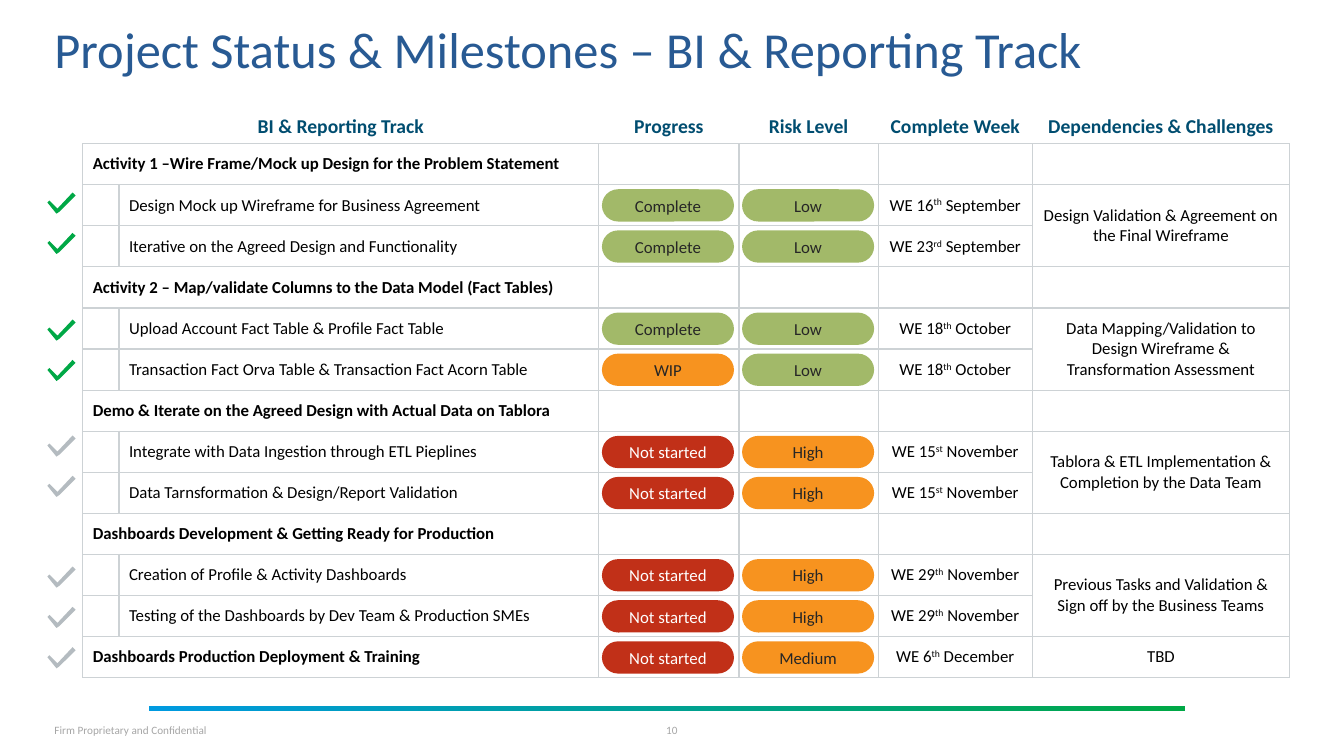
from dataclasses import dataclass

from lxml.etree import SubElement
from pptx import Presentation
from pptx.dml.color import RGBColor
from pptx.enum.shapes import MSO_SHAPE
from pptx.enum.text import MSO_ANCHOR, MSO_AUTO_SIZE, PP_ALIGN
from pptx.oxml.ns import qn
from pptx.util import Inches, Pt

TITLE = "Project Status & Milestones – BI & Reporting Track"
CONFIDENTIALITY = "Firm Proprietary and Confidential"
PAGE_NUMBER = "10"
HEADERS = ["BI & Reporting Track", None, "Progress", "Risk Level",
           "Complete Week", "Dependencies & Challenges"]

# Phase: heading, status of the heading row, top of its first check mark,
# whether its checks are done, dependency, tasks.
# Status: progress, risk, week as (text, raised suffix, text).
PHASES = [
    ("Activity 1 –Wire Frame/Mock up Design for the Problem Statement", None, 1.91, True,
     "Design Validation & Agreement on the Final Wireframe", [
         ("Design Mock up Wireframe for Business Agreement",
          ("Complete", "Low", ("WE 16", "th", " September"))),
         ("Iterative on the Agreed Design and Functionality",
          ("Complete", "Low", ("WE 23", "rd", " September")))]),
    ("Activity 2 – Map/validate Columns to the Data Model (Fact Tables)", None, 3.17, True,
     "Data Mapping/Validation to Design Wireframe & Transformation Assessment", [
         ("Upload Account Fact Table & Profile Fact Table",
          ("Complete", "Low", ("WE 18", "th", " October"))),
         ("Transaction Fact Orva Table & Transaction Fact Acorn Table",
          ("WIP", "Low", ("WE 18", "th", " October")))]),
    ("Demo & Iterate on the Agreed Design with Actual Data on Tablora", None, 4.32, False,
     "Tablora & ETL Implementation & Completion by the Data Team", [
         ("Integrate with Data Ingestion through ETL Pieplines",
          ("Not started", "High", ("WE 15", "st", " November"))),
         ("Data Tarnsformation & Design/Report Validation",
          ("Not started", "High", ("WE 15", "st", " November")))]),
    ("Dashboards Development & Getting Ready for Production", None, 5.62, False,
     "Previous Tasks and Validation & Sign off by the Business Teams", [
         ("Creation of Profile & Activity Dashboards",
          ("Not started", "High", ("WE 29", "th", " November"))),
         ("Testing of the Dashboards by Dev Team & Production SMEs",
          ("Not started", "High", ("WE 29", "th", " November")))]),
    ("Dashboards Production Deployment & Training",
     ("Not started", "Medium", ("WE 6", "th", " December")), 6.42, False, "TBD", []),
]


@dataclass(frozen=True)
class Theme:
    """Colours, font and type sizes of the slide."""
    font: str = "Calibri"
    title: str = "285A93"
    header: str = "004D70"
    body: str = "000000"
    dark: str = "262626"
    white: str = "FFFFFF"
    muted: str = "A6A6A6"
    border: str = "CDD2D5"
    done: str = "00A846"
    pending: str = "B4BBC0"
    bar_start: str = "009AE0"
    good: str = "A2B969"
    warning: str = "F7931F"
    alert: str = "C13018"
    title_size: int = 36
    header_size: int = 14
    body_size: int = 12
    footer_size: int = 8


THEME = Theme()
STATUS_COLORS = {"Complete": THEME.good, "Low": THEME.good, "WIP": THEME.warning,
                 "High": THEME.warning, "Medium": THEME.warning, "Not started": THEME.alert}

TABLE_LEFT, TABLE_TOP, TABLE_HEIGHT, HEADER_HEIGHT = 0.82, 0.97, 5.74, 0.44
COLUMNS = [0.36, 4.76, 1.39, 1.38, 1.53, 2.55]
PROGRESS, WEEK, DEPENDENCY = 2, 4, 5
ROW_COUNT = 1 + sum(1 + len(phase[-1]) for phase in PHASES)
ROW_HEIGHT = (TABLE_HEIGHT - HEADER_HEIGHT) / (ROW_COUNT - 1)
PILL_WIDTH, PILL_HEIGHT, PILL_INSET_X, PILL_INSET_Y = 1.31, 0.32, 0.03, 0.06
CHECK_LEFT, CHECK_PITCH = 0.47, 0.4
CHECK_OUTLINE = [(0.25, 0), (0.1, 0.16), (0.02, 0.08), (0, 0.1),
                 (0.09, 0.21), (0.12, 0.19), (0.28, 0.03)]


def write(frame, text, size=THEME.body_size, color=THEME.body, bold=False,
          align=PP_ALIGN.LEFT, spacing=None):
    """Write text, or a (text, raised suffix, text) tuple, into a text frame."""
    paragraph = frame.paragraphs[0]
    paragraph.alignment = align
    if spacing:
        paragraph.line_spacing = spacing
    for index, part in enumerate((text,) if isinstance(text, str) else text):
        run = paragraph.add_run()
        run.text = part
        run.font.name, run.font.size, run.font.bold = THEME.font, Pt(size), bold
        run.font.color.rgb = RGBColor.from_string(color)
        if index == 1:
            run.font._element.set("baseline", "30000")


def set_insets(frame, top=0):
    """Remove the frame's insets, keep it unfitted and centre it vertically."""
    frame.margin_left = frame.margin_right = frame.margin_bottom = 0
    frame.margin_top = Inches(top)
    frame.word_wrap = True
    frame.auto_size = MSO_AUTO_SIZE.NONE
    frame.vertical_anchor = MSO_ANCHOR.MIDDLE


def paint(shape, color):
    """Give a shape a plain fill without line or shadow."""
    shape.shadow.inherit = False
    shape.line.fill.background()
    shape.fill.solid()
    shape.fill.fore_color.rgb = RGBColor.from_string(color)


def style_cell(cell, is_header):
    """Set borders, white fill and anchor; a header has a bottom border only."""
    properties = cell._tc.get_or_add_tcPr()
    for side in ("lnL", "lnR", "lnT", "lnB"):
        border = SubElement(properties, qn(f"a:{side}"), w=str(Pt(1)))
        if is_header and side != "lnB":
            SubElement(border, qn("a:noFill"))
        else:
            fill = SubElement(border, qn("a:solidFill"))
            SubElement(fill, qn("a:srgbClr"), val=THEME.border)
    cell.fill.solid()
    cell.fill.fore_color.rgb = RGBColor.from_string(THEME.white)
    cell.vertical_anchor = MSO_ANCHOR.MIDDLE


def add_pill(slide, status, row, column):
    """Add a status pill over a table cell."""
    left = TABLE_LEFT + sum(COLUMNS[:column]) + PILL_INSET_X
    top = TABLE_TOP + HEADER_HEIGHT + (row - 1) * ROW_HEIGHT + PILL_INSET_Y
    pill = slide.shapes.add_shape(MSO_SHAPE.ROUNDED_RECTANGLE, Inches(left), Inches(top),
                                  Inches(PILL_WIDTH), Inches(PILL_HEIGHT))
    pill.adjustments[0] = 0.5
    paint(pill, STATUS_COLORS[status])
    pill.text_frame.vertical_anchor = MSO_ANCHOR.MIDDLE
    write(pill.text_frame, status, align=PP_ALIGN.CENTER,
          color=THEME.white if status == "Not started" else THEME.dark)


def add_check(slide, top, color):
    """Add a check mark left of the table."""
    points = [(Inches(CHECK_LEFT + x), Inches(top + y)) for x, y in CHECK_OUTLINE]
    builder = slide.shapes.build_freeform(*points[0])
    builder.add_line_segments(points[1:], close=True)
    paint(builder.convert_to_shape(), color)


def add_status(slide, table, row, status):
    """Show progress and risk as pills and write the completion week."""
    progress, risk, week = status
    for offset, level in enumerate((progress, risk)):
        add_pill(slide, level, row, PROGRESS + offset)
    cell = table.cell(row, WEEK)
    cell.margin_left = cell.margin_right = 0
    write(cell.text_frame, week, align=PP_ALIGN.CENTER)


def add_milestones(slide):
    """Add the milestone table with its pills and check marks."""
    table = slide.shapes.add_table(
        ROW_COUNT, len(COLUMNS), Inches(TABLE_LEFT), Inches(TABLE_TOP),
        Inches(sum(COLUMNS)), Inches(TABLE_HEIGHT)).table
    table.first_row = table.horz_banding = False
    for column, width in zip(table.columns, COLUMNS):
        column.width = Inches(width)
    for index, row in enumerate(table.rows):
        row.height = Inches(ROW_HEIGHT if index else HEADER_HEIGHT)
        for cell in row.cells:
            style_cell(cell, index == 0)

    table.cell(0, 0).merge(table.cell(0, 1))
    for column, header in enumerate(HEADERS):
        if header:
            cell = table.cell(0, column)
            cell.vertical_anchor = MSO_ANCHOR.BOTTOM if column else MSO_ANCHOR.TOP
            write(cell.text_frame, header, size=THEME.header_size, color=THEME.header,
                  bold=True, align=PP_ALIGN.CENTER, spacing=None if column else 1.5)

    row = 1
    for heading, heading_status, check_top, done, dependency, tasks in PHASES:
        table.cell(row, 0).merge(table.cell(row, 1))
        write(table.cell(row, 0).text_frame, heading, bold=True)
        if heading_status:
            add_status(slide, table, row, heading_status)
        for offset, (task, status) in enumerate(tasks, 1):
            write(table.cell(row + offset, 1).text_frame, task)
            add_status(slide, table, row + offset, status)
        first = row + 1 if tasks else row
        last = row + len(tasks)
        if last > first:
            table.cell(first, DEPENDENCY).merge(table.cell(last, DEPENDENCY))
        write(table.cell(first, DEPENDENCY).text_frame, dependency, align=PP_ALIGN.CENTER)
        for step in range(last - first + 1):
            add_check(slide, check_top + step * CHECK_PITCH,
                      THEME.done if done else THEME.pending)
        row = last + 1


def add_footer(slide):
    """Add the gradient bar, confidentiality line and page number."""
    bar = slide.shapes.add_shape(MSO_SHAPE.RECTANGLE, Inches(1.48), Inches(7),
                                 Inches(10.27), Inches(0.05))
    paint(bar, THEME.done)
    bar.fill.gradient()
    bar.fill.gradient_angle = 0
    for stop, color in zip(bar.fill.gradient_stops, (THEME.bar_start, THEME.done)):
        stop.color.rgb = RGBColor.from_string(color)
    for text, left, width, align in ((CONFIDENTIALITY, 0.54, 1.61, PP_ALIGN.LEFT),
                                     (PAGE_NUMBER, 6.48, 0.37, PP_ALIGN.CENTER)):
        frame = slide.shapes.add_textbox(Inches(left), Inches(7.13),
                                         Inches(width), Inches(0.23)).text_frame
        set_insets(frame)
        write(frame, text, size=THEME.footer_size, color=THEME.muted, align=align)


def main():
    """Build and save the slide."""
    deck = Presentation()
    deck.slide_width, deck.slide_height = Inches(13.33), Inches(7.5)
    slide = deck.slides.add_slide(deck.slide_layouts[5])
    title = slide.shapes.title
    title.left, title.top = Inches(0.54), Inches(0.18)
    title.width, title.height = Inches(12.25), Inches(0.51)
    set_insets(title.text_frame, top=0.2)
    write(title.text_frame, TITLE, size=THEME.title_size, color=THEME.title, spacing=0.8)
    add_footer(slide)
    add_milestones(slide)
    deck.save("out.pptx")


main()
